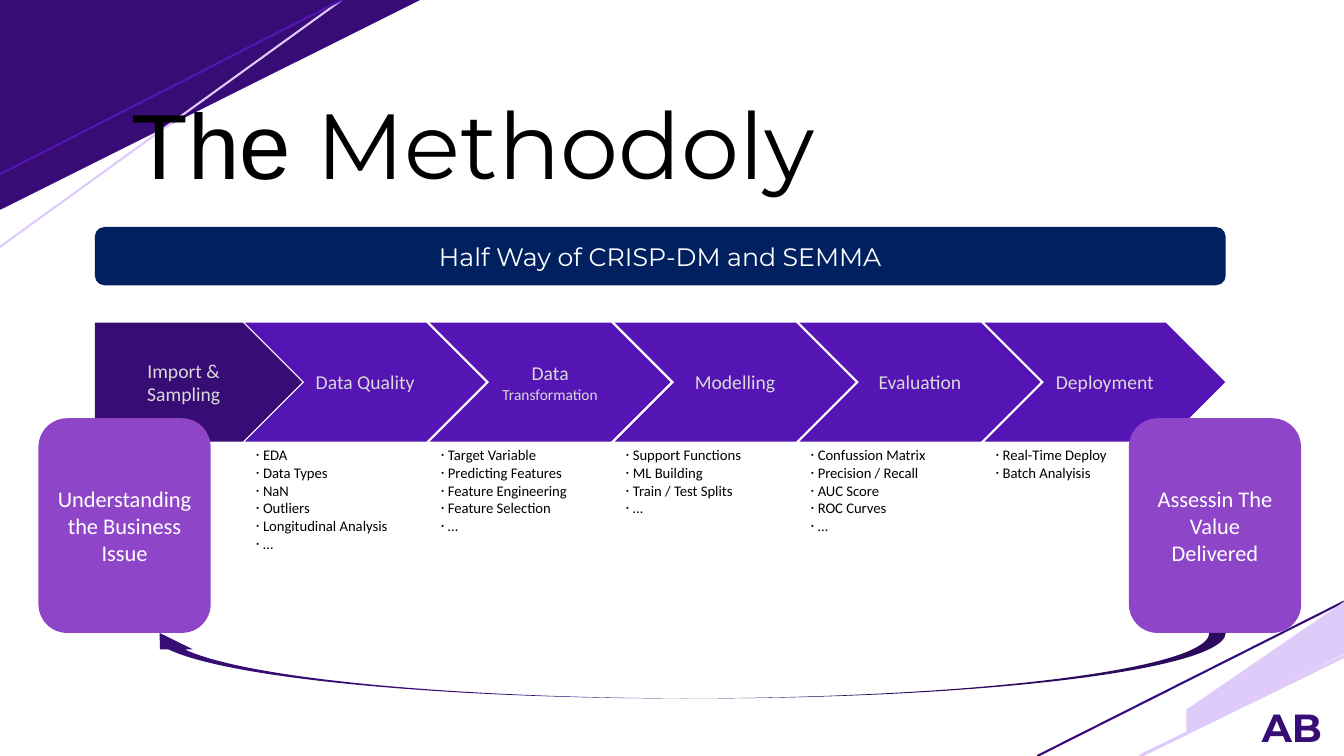
from dataclasses import dataclass
from typing import NamedTuple

from lxml import etree
from pptx import Presentation
from pptx.dml.color import RGBColor
from pptx.enum.shapes import MSO_CONNECTOR, MSO_SHAPE
from pptx.enum.text import MSO_ANCHOR, MSO_AUTO_SIZE, PP_ALIGN
from pptx.oxml.ns import qn
from pptx.util import Cm, Pt

STRAIGHT = MSO_CONNECTOR.STRAIGHT
ROUNDED, PENTAGON = MSO_SHAPE.ROUNDED_RECTANGLE, MSO_SHAPE.PENTAGON
CHEVRON, CURVED_ARROW = MSO_SHAPE.CHEVRON, MSO_SHAPE.CURVED_UP_ARROW
TOP, MIDDLE = MSO_ANCHOR.TOP, MSO_ANCHOR.MIDDLE
FIT_SHAPE, NO_FIT = MSO_AUTO_SIZE.SHAPE_TO_FIT_TEXT, MSO_AUTO_SIZE.NONE
LEFT, CENTER = PP_ALIGN.LEFT, PP_ALIGN.CENTER


@dataclass(frozen=True)
class Theme:
    dark: str = "370D75"
    violet: str = "5514B4"
    lilac: str = "DECBF9"
    orchid: str = "8F45C7"
    navy: str = "002060"
    white: str = "FFFFFF"
    black: str = "000000"
    pale: str = "D9D9D9"
    body_font: str = "Calibri"
    brand_font: str = "Montserrat"
    title_font: str = "Arial"
    title_size: float = 66
    initials_size: float = 28
    banner_size: float = 18
    goal_size: float = 16
    step_size: float = 14
    small_size: float = 11
    list_size: float = 10.5


THEME = Theme()


class Box(NamedTuple):
    left: float
    top: float
    width: float
    height: float


class Span(NamedTuple):
    text: str
    size: float
    color: str
    font: str = THEME.body_font
    bold: bool = False


class Stripe(NamedTuple):
    start: tuple[float, float]
    end: tuple[float, float]
    color: str
    weight: float


@dataclass(frozen=True)
class Step:
    label: list[list[Span]]
    tasks: list[str]


def place(box: Box) -> list[Cm]:
    return [Cm(length) for length in box]


def paint(shape, color: str) -> None:
    shape.shadow.inherit = False
    shape.fill.solid()
    shape.fill.fore_color.rgb = RGBColor.from_string(color)
    shape.line.fill.background()


def write(frame, lines: list[list[Span]], align) -> None:
    for index, line in enumerate(lines):
        para = frame.paragraphs[0] if index == 0 else frame.add_paragraph()
        para.alignment = align
        for span in line:
            run = para.add_run()
            run.text = span.text
            run.font.size = Pt(span.size)
            run.font.name = span.font
            run.font.bold = span.bold
            run.font.color.rgb = RGBColor.from_string(span.color)


def add_polygon(page, points: list[tuple[float, float]], color: str) -> None:
    corners = [(Cm(x), Cm(y)) for x, y in points]
    builder = page.shapes.build_freeform(*corners[0])
    builder.add_line_segments(corners[1:], close=True)
    paint(builder.convert_to_shape(), color)


def add_stripe(page, stripe: Stripe) -> None:
    ends = [Cm(length) for length in stripe.start + stripe.end]
    line = page.shapes.add_connector(STRAIGHT, *ends)
    line.line.color.rgb = RGBColor.from_string(stripe.color)
    line.line.width = Pt(stripe.weight)
    etree.SubElement(line._element.spPr, qn("a:effectLst"))


def add_block(page, kind, box: Box, color: str, lines: list[list[Span]]):
    shape = page.shapes.add_shape(kind, *place(box))
    paint(shape, color)
    shape.text_frame.word_wrap = True
    shape.text_frame.vertical_anchor = MIDDLE
    write(shape.text_frame, lines, CENTER)
    return shape


def add_text(page, box: Box, lines: list[list[Span]], align):
    frame = page.shapes.add_textbox(*place(box)).text_frame
    frame.word_wrap = True
    frame.auto_size = FIT_SHAPE
    write(frame, lines, align)
    return frame


def add_task_list(page, left: float, tasks: list[str]) -> None:
    box = Box(left, 11.12, 4.62, 0.25 + 0.45 * len(tasks))
    lines = [[Span(task, THEME.list_size, THEME.black)] for task in tasks]
    for para in add_text(page, box, lines, LEFT).paragraphs:
        properties = para._p.get_or_add_pPr()
        properties.set("marL", str(Cm(0.18)))
        properties.set("indent", str(-Cm(0.18)))
        etree.SubElement(properties, qn("a:buFont")).set("typeface", THEME.body_font)
        etree.SubElement(properties, qn("a:buChar")).set("char", "·")


def step_span(text: str, size: float = THEME.step_size) -> Span:
    return Span(text, size, THEME.pale)


STRIPES = [
    Stripe((0, 6.22), (8.61, 0), THEME.lilac, 1.5),
    Stripe((26.14, 19.05), (33.87, 15.16), THEME.dark, 1.5),
    Stripe((0, 4.39), (8.61, 0), THEME.violet, 1.5),
    Stripe((28.73, 19.05), (33.87, 16.54), THEME.lilac, 2.25),
]
STEPS = [
    Step([[step_span("Data Quality")]],
         ["EDA", "Data Types", "NaN", "Outliers", "Longitudinal Analysis", "…"]),
    Step([[step_span("Data "), step_span("Transformation", THEME.small_size)]],
         ["Target Variable", "Predicting Features", "Feature Engineering",
          "Feature Selection", "…"]),
    Step([[step_span("Modelling")]],
         ["Support Functions", "ML Building", "Train / Test Splits", "…"]),
    Step([[step_span("Evaluation")]],
         ["Confussion Matrix", "Precision / Recall", "AUC Score", "ROC Curves", "…"]),
    Step([[step_span("Deployment")]], ["Real-Time Deploy", "Batch Analyisis"]),
]
GOALS = [(0.97, "Understanding the Business Issue"), (28.45, "Assessin The Value Delivered")]
STEP_LEFT, STEP_TOP, STEP_PITCH, STEP_HEIGHT = 6.17, 8.13, 4.66, 3


def main() -> None:
    deck = Presentation()
    deck.slide_width, deck.slide_height = Cm(33.87), Cm(19.05)
    page = deck.slides.add_slide(deck.slide_layouts[5])

    # Corner decoration
    add_polygon(page, [(0, 5.29), (10.59, 0), (0, 0)], THEME.dark)
    for stripe in STRIPES:
        add_stripe(page, stripe)
    add_polygon(page, [(29.9, 18.47), (33.87, 16.48), (33.87, 15.16), (29.9, 17.88)],
                THEME.lilac)
    initials = Span("AB", THEME.initials_size, THEME.dark, THEME.brand_font, True)
    add_text(page, Box(31.5, 17.6, 2.11, 1.45), [[initials]], CENTER)

    # Banner
    banner = Span("Half Way of CRISP-DM and SEMMA", THEME.banner_size, THEME.white,
                  THEME.brand_font)
    add_block(page, ROUNDED, Box(2.39, 5.72, 28.5, 1.47), THEME.navy, [[banner]])

    # Title, brought in front of the corner decoration
    title = page.shapes.title
    title.left, title.top, title.width, title.height = place(Box(3.07, 2.06, 18.72, 3.07))
    frame = title.text_frame
    frame.word_wrap, frame.auto_size, frame.vertical_anchor = False, NO_FIT, TOP
    write(frame, [[Span("The ", THEME.title_size, THEME.black, THEME.title_font),
                   Span("Methodoly", THEME.title_size, THEME.black, THEME.brand_font)]], LEFT)
    page.shapes._spTree.append(title._element)

    # Process steps
    add_block(page, PENTAGON, Box(2.39, STEP_TOP, 5.23, STEP_HEIGHT), THEME.dark,
              [[step_span("Import &")], [step_span("Sampling")]])
    for index, step in enumerate(STEPS):
        left = STEP_LEFT + index * STEP_PITCH
        add_block(page, CHEVRON, Box(left, STEP_TOP, 6.07, STEP_HEIGHT), THEME.violet,
                  step.label)

    # Start and end goals
    for left, text in GOALS:
        add_block(page, ROUNDED, Box(left, 10.54, 4.34, 5.41), THEME.orchid,
                  [[Span(text, THEME.goal_size, THEME.white)]])

    # Tasks below each step
    for index, step in enumerate(STEPS):
        add_task_list(page, STEP_LEFT + 0.03 + index * STEP_PITCH, step.tasks)

    # Feedback arrow
    feedback = add_block(page, CURVED_ARROW, Box(3.61, 15.95, 27.28, 1.65), THEME.dark, [])
    feedback._element.spPr.find(qn("a:xfrm")).set("flipH", "1")

    deck.save("out.pptx")


if __name__ == "__main__":
    main()
